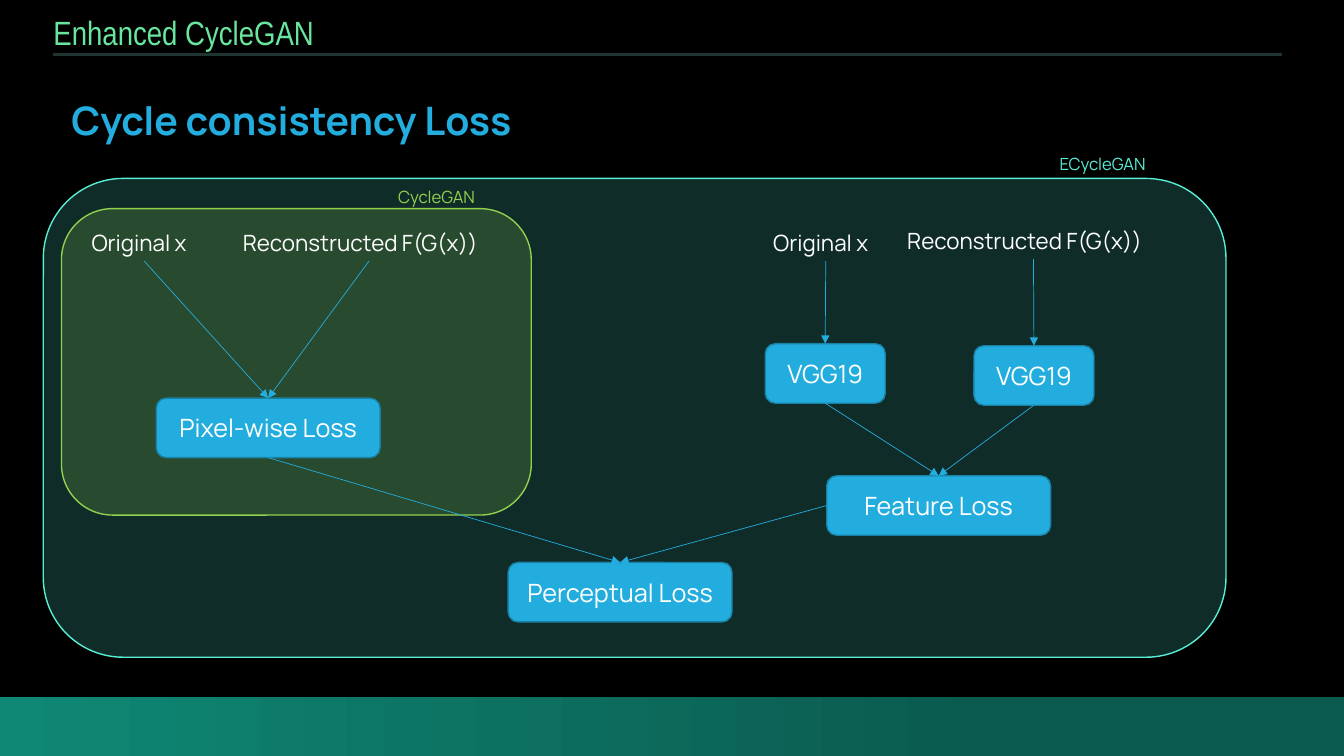
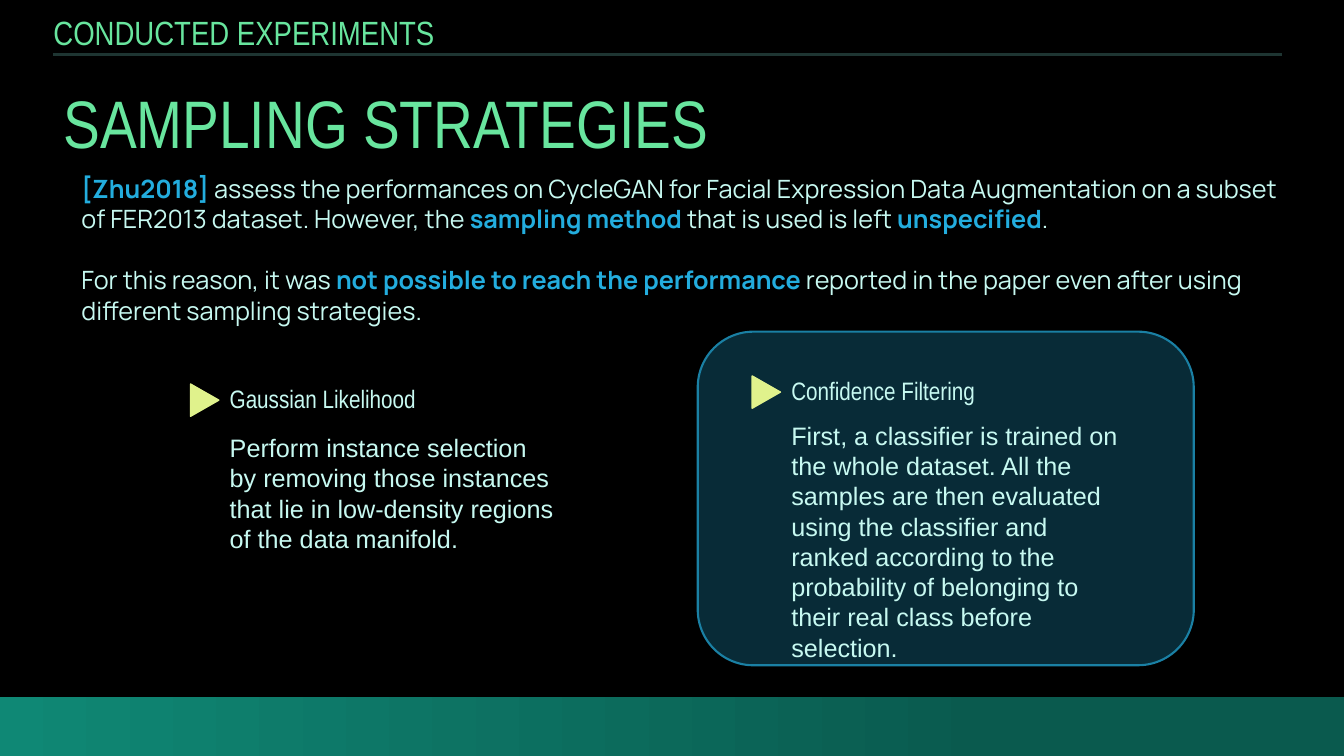
from pptx import Presentation
from pptx.dml.color import RGBColor
from pptx.enum import shapes as sh, text as tx
from pptx.oxml import ns
from pptx.util import Inches, Pt
from lxml import etree

# Colours and fonts
BLACK = RGBColor(0x00, 0x00, 0x00)
WHITE = RGBColor(0xFF, 0xFF, 0xFF)
MINT = RGBColor(0x68, 0xE5, 0x9E)
RULE = RGBColor(0x1E, 0x35, 0x32)
TEAL = RGBColor(0x0F, 0x88, 0x75)
PINE = RGBColor(0x0A, 0x5A, 0x4E)
BLUE = RGBColor(0x23, 0xAD, 0xDE)
NAVY = RGBColor(0x1A, 0x80, 0xA4)
AQUA = RGBColor(0x58, 0xED, 0xD5)
GREEN = RGBColor(0x92, 0xD0, 0x50)
PALE = RGBColor(0xC7, 0xF9, 0xF1)
LIME = RGBColor(0xE0, 0xF2, 0x8C)
SANS, NARROW, BRAND = "Arial", "Arial Narrow", "Manrope"

SHAPE = sh.MSO_SHAPE
BOX_H = 0.59
TITLE_ONLY = 5


def style(font, size, name, color, bold=False):
    font.size, font.name, font.bold = Pt(size), name, bold
    font.color.rgb = color


def place(item, x, y, w, h):
    item.left, item.top, item.width, item.height = map(Inches, (x, y, w, h))


def add_form(slide, kind, x, y, w, h, fill=None, line=None, weight=1, alpha=None):
    form = slide.shapes.add_shape(kind, *map(Inches, (x, y, w, h)))
    form.shadow.inherit = False
    if fill is not None:
        form.fill.solid()
        form.fill.fore_color.rgb = fill
    if alpha:
        tint = form.fill._xPr.find(".//" + ns.qn("a:srgbClr"))
        etree.SubElement(tint, ns.qn("a:alpha"), val=str(alpha * 1000))
    if line is None:
        form.line.fill.background()
    else:
        form.line.color.rgb = line
        form.line.width = Pt(weight)
    return form


def add_panel(slide, x, y, w, h, fill, line, alpha, weight=1):
    return add_form(slide, SHAPE.ROUNDED_RECTANGLE, x, y, w, h,
                    fill, line, weight, alpha)


def add_box(slide, words, x, y, w=2.22):
    box = add_form(slide, SHAPE.ROUNDED_RECTANGLE, x, y, w, BOX_H, BLUE, NAVY)
    frame = box.text_frame
    frame.text = words
    frame.vertical_anchor = tx.MSO_ANCHOR.MIDDLE
    par = frame.paragraphs[0]
    par.alignment = tx.PP_ALIGN.CENTER
    style(par.runs[0].font, 18, BRAND, WHITE)
    return box


def add_text(slide, words, x, y, w, h, size, name, color, bold=False, wrap=True):
    box = slide.shapes.add_textbox(*map(Inches, (x, y, w, h)))
    frame = box.text_frame
    frame.word_wrap = wrap
    frame.auto_size = tx.MSO_AUTO_SIZE.SHAPE_TO_FIT_TEXT
    frame.text = words
    style(frame.paragraphs[0].runs[0].font, size, name, color, bold)
    return box


def add_label(slide, words, x, y, w, h=0.37, size=16, name=BRAND, color=WHITE):
    return add_text(slide, words, x, y, w, h, size, name, color, wrap=False)


def add_line(slide, color, weight, ends=(0, 0, 0, 0)):
    line = slide.shapes.add_connector(sh.MSO_CONNECTOR.STRAIGHT,
                                      *map(Inches, ends))
    line.line.color.rgb = color
    line.line.width = Pt(weight)
    etree.SubElement(line._element.spPr, ns.qn("a:effectLst"))
    return line


def add_arrow(slide, start, end, site=2):
    """Join a site of start (1 left, 2 bottom) to the top of end."""
    arrow = add_line(slide, BLUE, 0.5)
    arrow.begin_connect(start, site)
    arrow.end_connect(end, 0)
    stroke = arrow.line._get_or_add_ln()
    etree.SubElement(stroke, ns.qn("a:tailEnd"), type="triangle")


def add_rich(slide, paras, x, y, w, h):
    """Paragraphs of (words, strong) parts."""
    frame = slide.shapes.add_textbox(*map(Inches, (x, y, w, h))).text_frame
    frame.word_wrap = True
    for i, parts in enumerate(paras):
        par = frame.add_paragraph() if i else frame.paragraphs[0]
        if i:
            par.space_before = Pt(22)
        for words, strong in parts:
            run = par.add_run()
            run.text = words
            style(run.font, 18, BRAND, BLUE if strong else PALE, strong)


def add_point(slide, head, body, x, y, gap, w, h):
    """Triangle mark, heading and text below it."""
    mark = add_form(slide, SHAPE.ISOSCELES_TRIANGLE, x - 0.31, y + 0.08,
                    0.32, 0.28, LIME, LIME)
    mark.rotation = 90
    add_label(slide, head, x, y, 2.24, 0.4, 18, NARROW, PALE)
    add_text(slide, body, x, y + gap, w, h, 18, SANS, PALE)


def add_slide(prs, title):
    """Black slide with title, rule and bottom band."""
    slide = prs.slides.add_slide(prs.slide_layouts[TITLE_ONLY])
    slide.background.fill.solid()
    slide.background.fill.fore_color.rgb = BLACK
    add_line(slide, RULE, 2.25, (0.53, 0.54, 12.72, 0.54))
    band = add_form(slide, SHAPE.RECTANGLE, 0, 6.91, 13.33, 0.59)
    band.fill.gradient()
    band.fill.gradient_angle = 0
    for stop, color, at in zip(band.fill.gradient_stops, (TEAL, PINE), (0, 0.74)):
        stop.color.rgb = color
        stop.position = at
    head = slide.shapes.title
    place(head, 0.43, 0.07, 6.67, 0.5)
    frame = head.text_frame
    frame.text = title
    frame.auto_size = tx.MSO_AUTO_SIZE.NONE
    frame.vertical_anchor = tx.MSO_ANCHOR.TOP
    par = frame.paragraphs[0]
    par.alignment = tx.PP_ALIGN.LEFT
    style(par.runs[0].font, 24, NARROW, MINT)
    return slide


def build_loss(prs):
    slide = add_slide(prs, "Enhanced CycleGAN")
    add_text(slide, "Cycle consistency Loss", 0.61, 0.91, 6.76, 0.57,
             28, BRAND, BLUE, True)

    # Nested model panels
    add_panel(slide, 0.43, 1.77, 11.73, 4.75, AQUA, AQUA, 19)
    add_panel(slide, 0.61, 2.07, 4.66, 3.04, GREEN, GREEN, 19)
    add_label(slide, "CycleGAN", 3.85, 1.8, 1.04, 0.3, 12, color=GREEN)
    add_label(slide, "ECycleGAN", 10.41, 1.48, 1.12, 0.3, 12, color=AQUA)

    # Inputs, each pair for one loss
    pairs = [[add_label(slide, "Original x", left, 2.22, 1.24),
              add_label(slide, "Reconstructed F(G(x))", right, top, 2.7)]
             for left, right, top in ((0.81, 2.31, 2.22), (7.57, 8.9, 2.2))]

    # Networks and losses
    nets = [add_box(slide, "VGG19", x, y, 1.19)
            for x, y in ((7.59, 3.41), (9.66, 3.43))]
    pixel = add_box(slide, "Pixel-wise Loss", 1.55, 3.95)
    feature = add_box(slide, "Feature Loss", 8.2, 4.72)
    total = add_box(slide, "Perceptual Loss", 5.04, 5.58)

    # Flow
    for label in pairs[0]:
        add_arrow(slide, label, pixel)
    for label, net in zip(pairs[1], nets):
        add_arrow(slide, label, net)
        add_arrow(slide, net, feature)
    add_arrow(slide, pixel, total)
    add_arrow(slide, feature, total, site=1)


def build_sampling(prs):
    slide = add_slide(prs, "CONDUCTED EXPERIMENTS")
    add_text(slide, "SAMPLING STRATEGIES", 0.53, 0.76, 7.89, 0.91,
             48, NARROW, MINT)
    add_rich(slide, [
        [("[Zhu2018] ", True),
         ("assess the performances on CycleGAN for Facial Expression Data "
          "Augmentation on a subset of FER2013 dataset. However, the ", False),
         ("sampling method ", True),
         ("that is used is left ", False),
         ("unspecified", True),
         (".", False)],
        [("For this reason, it was ", False),
         ("not possible to reach the performance ", True),
         ("reported in the paper even after using different sampling "
          "strategies.", False)],
    ], 0.71, 1.67, 12.1, 1.62)

    # Two strategies, the second one framed
    add_panel(slide, 6.92, 3.29, 4.92, 3.31, BLUE, NAVY, 25, 1.5)
    add_point(slide, "Gaussian Likelihood",
              "Perform instance selection by removing those instances that "
              "lie in low-density regions of the data manifold.",
              2.18, 3.75, 0.49, 3.41, 1.31)
    add_point(slide, "Confidence Filtering",
              "First, a classifier is trained on the whole dataset. All the "
              "samples are then evaluated using the classifier and ranked "
              "according to the probability of belonging to their real class "
              "before selection.",
              7.75, 3.67, 0.45, 3.52, 2.22)


def main():
    prs = Presentation()
    prs.slide_width, prs.slide_height = Inches(13.33), Inches(7.5)
    build_loss(prs)
    build_sampling(prs)
    prs.save("out.pptx")


if __name__ == "__main__":
    main()
